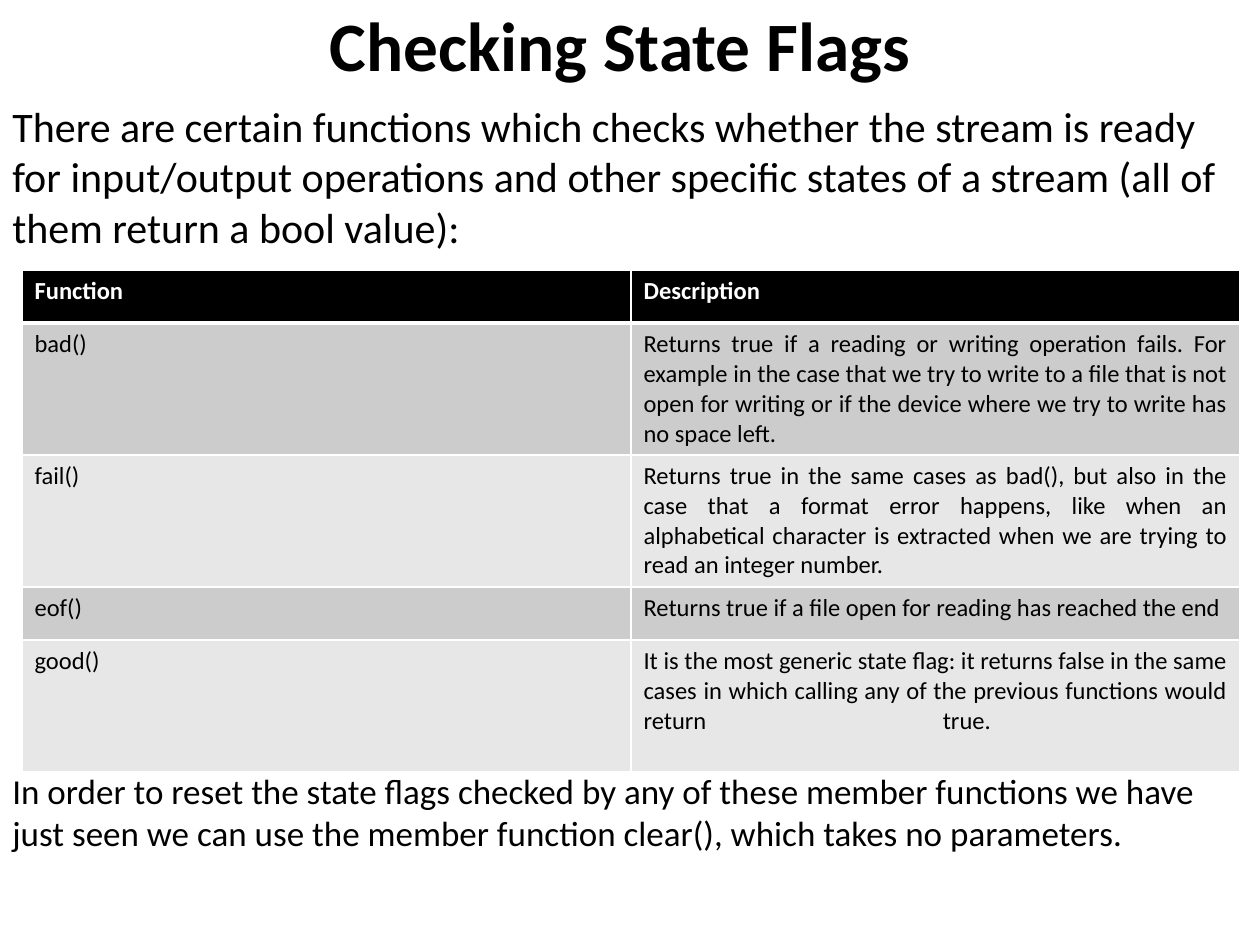
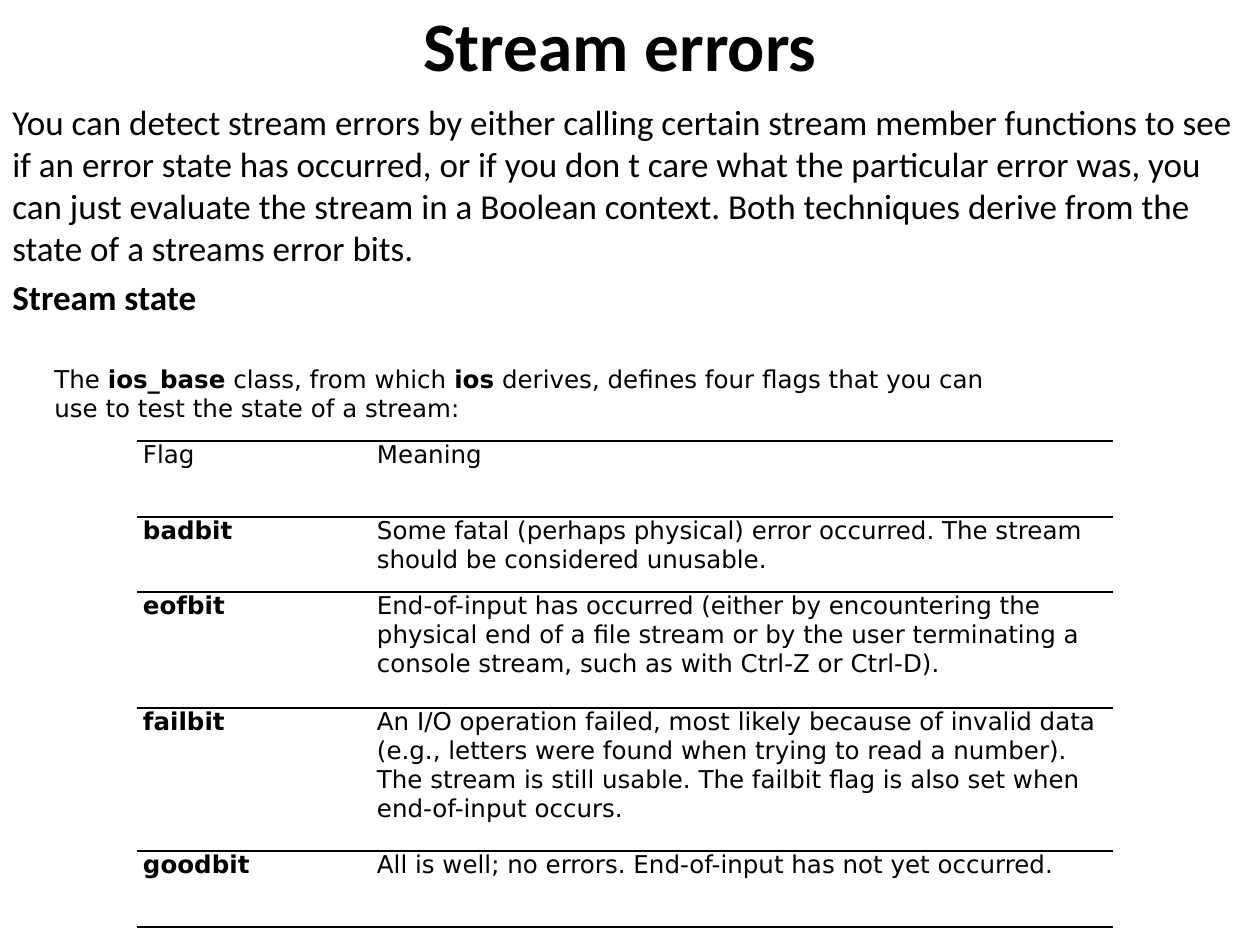
from lxml.etree import SubElement
from pptx import Presentation
from pptx.dml.color import RGBColor
from pptx.enum.shapes import MSO_SHAPE as Shape
from pptx.enum.text import MSO_ANCHOR as Anchor, PP_ALIGN as Align
from pptx.oxml.ns import qn
from pptx.util import Emu, Pt

BLACK = RGBColor(0, 0, 0)
WHITE = RGBColor(255, 255, 255)
BAND_DARK = RGBColor(0xCC, 0xCC, 0xCC)
BAND_LIGHT = RGBColor(0xE7, 0xE7, 0xE7)
SANS, WIDE = "Calibri", "DejaVu Sans"

PX_PER_INCH = 126
TITLE_BOX = (53, 0, 1134, 88)
BODY_BOX = (0, 94, 1260, 851)

# Wording
FUNCTIONS = [
    ("Function", "Description"),
    ("bad()", "Returns true if a reading or writing operation fails. For example in the "
              "case that we try to write to a file that is not open for writing or if the "
              "device where we try to write has no space left."),
    ("fail()", "Returns true in the same cases as bad(), but also in the case that a format "
               "error happens, like when an alphabetical character is extracted when we are "
               "trying to read an integer number."),
    ("eof()", "Returns true if a file open for reading has reached the end"),
    ("good()", "It is the most generic state flag: it returns false in the same cases in "
               "which calling any of the previous functions would return true. \v"),
]
FLAGS = [
    ("Flag", "Meaning"),
    ("badbit", "Some fatal (perhaps physical) error occurred. The stream should be "
               "considered unusable."),
    ("eofbit", "End-of-input has occurred (either by encountering the physical end of a file "
               "stream or by the user terminating a console stream, such as with Ctrl-Z or "
               "Ctrl\u2011D)."),
    ("failbit", "An I/O operation failed, most likely because of invalid data (e.g., letters "
                "were found when trying to read a number). The stream is still usable. The "
                "failbit flag is also set when end-of-input occurs."),
    ("goodbit", "All is well; no errors. End-of-input has not yet occurred."),
]
FLAG_INTRO = [
    ("The\u00a0", False), ("ios_base", True), ("\u00a0class, from which\u00a0", False),
    ("ios", True),
    ("\u00a0derives, defines four flags that you can use to test the state of a stream:", False),
]


def px(length):
    return Emu(round(length * 914400 / PX_PER_INCH))


def emu_box(box):
    return [px(length) for length in box]


def style(paragraph, size, face=SANS, color=BLACK, bold=False, align=Align.LEFT):
    font = paragraph.font
    font.size, font.name, font.bold = Pt(size), face, bold
    font.color.rgb = color
    paragraph.alignment = align


def add_title(slide, text):
    frame = slide.shapes.add_textbox(*emu_box(TITLE_BOX)).text_frame
    frame.word_wrap = True
    frame.vertical_anchor = Anchor.MIDDLE
    frame.text = text
    style(frame.paragraphs[0], 39.6, bold=True, align=Align.CENTER)


def add_body(slide, entries):
    """Each entry is text, size, bold and the space before it in points."""
    frame = slide.shapes.add_textbox(*emu_box(BODY_BOX)).text_frame
    frame.word_wrap = True
    for number, (text, size, bold, gap) in enumerate(entries):
        paragraph = frame.add_paragraph() if number else frame.paragraphs[0]
        paragraph.text = text
        style(paragraph, size, bold=bold)
        paragraph.space_before = Pt(gap)


def set_border(cell, side, color=None, width=1):
    """Side is L, R, T or B; without a colour the edge is not drawn."""
    line = SubElement(cell._tc.get_or_add_tcPr(), qn(f"a:ln{side}"), w=str(Pt(width)))
    if color is None:
        SubElement(line, qn("a:noFill"))
    else:
        fill = SubElement(line, qn("a:solidFill"))
        SubElement(fill, qn("a:srgbClr"), val=str(color))


def add_grid(slide, left, top, widths, heights, rows, dress):
    """Fill a table with rows; dress(cell, row, column) styles each cell."""
    box = emu_box((left, top, sum(widths), sum(heights)))
    table = slide.shapes.add_table(len(rows), len(widths), *box).table
    table.first_row = table.horz_banding = False
    for column, width in enumerate(widths):
        table.columns[column].width = px(width)
    for row, (height, texts) in enumerate(zip(heights, rows)):
        table.rows[row].height = px(height)
        for column, text in enumerate(texts):
            cell = table.cell(row, column)
            cell.text = text
            dress(cell, row, column)


def fill_cell(cell, color):
    cell.fill.solid()
    cell.fill.fore_color.rgb = color


def dress_function(cell, row, column):
    header = row == 0
    for side in "LRTB":
        under_header = (row, side) in ((0, "B"), (1, "T"))
        set_border(cell, side, WHITE, 3 if under_header else 1)
    fill_cell(cell, BLACK if header else BAND_DARK if row % 2 else BAND_LIGHT)
    justified = column == 1 and not header
    style(cell.text_frame.paragraphs[0], 14, color=WHITE if header else BLACK, bold=header,
          align=Align.JUSTIFY if justified else Align.LEFT)


def dress_flag(cell, row, column):
    cell.margin_left = cell.margin_right = px(6)
    cell.margin_top = cell.margin_bottom = 0
    for side in "LRTB":
        set_border(cell, side, BLACK if side in "TB" else None)
    fill_cell(cell, WHITE)
    style(cell.text_frame.paragraphs[0], 14, WIDE, bold=row > 0 and column == 0)


def add_flag_intro(slide, box):
    panel = slide.shapes.add_shape(Shape.RECTANGLE, *emu_box(box))
    panel.shadow.inherit = False
    panel.fill.solid()
    panel.fill.fore_color.rgb = WHITE
    panel.line.fill.background()
    frame = panel.text_frame
    frame.word_wrap = True
    frame.vertical_anchor = Anchor.MIDDLE
    paragraph = frame.paragraphs[0]
    style(paragraph, 14, WIDE)
    for text, bold in FLAG_INTRO:
        run = paragraph.add_run()
        run.text = text
        run.font.bold = bold


def build_state_flags(slide):
    # The closing remark stands below the table
    add_body(slide, [
        ("There are certain functions which checks whether the stream is ready for "
         "input/output operations and other specific states of a stream (all of them return "
         "a bool value):", 24, False, 0),
        ("In order to reset the state flags checked by any of these member functions we have "
         "just seen we can use the member function clear(), which takes no parameters.",
         20, False, 296),
    ])
    add_title(slide, "Checking State Flags")
    add_grid(slide, 22, 270, (609, 609), (53, 132, 132, 53, 132), FUNCTIONS, dress_function)


def build_stream_errors(slide):
    add_body(slide, [
        ("You can detect stream errors by either calling certain stream member functions to "
         "see if an error state has occurred, or if you don t care what the particular error "
         "was, you can just evaluate the stream in a Boolean context. Both techniques derive "
         "from the state of a streams error bits.", 20, False, 0),
        ("Stream state", 20, True, 4),
    ])
    add_title(slide, "Stream errors")
    add_grid(slide, 137, 441, (234, 742), (76, 75, 116, 143, 76), FLAGS, dress_flag)
    add_flag_intro(slide, (42, 357, 998, 72))


deck = Presentation()
deck.slide_width, deck.slide_height = px(1260), px(945)
for build in (build_state_flags, build_stream_errors):
    build(deck.slides.add_slide(deck.slide_layouts[6]))
deck.save("out.pptx")
